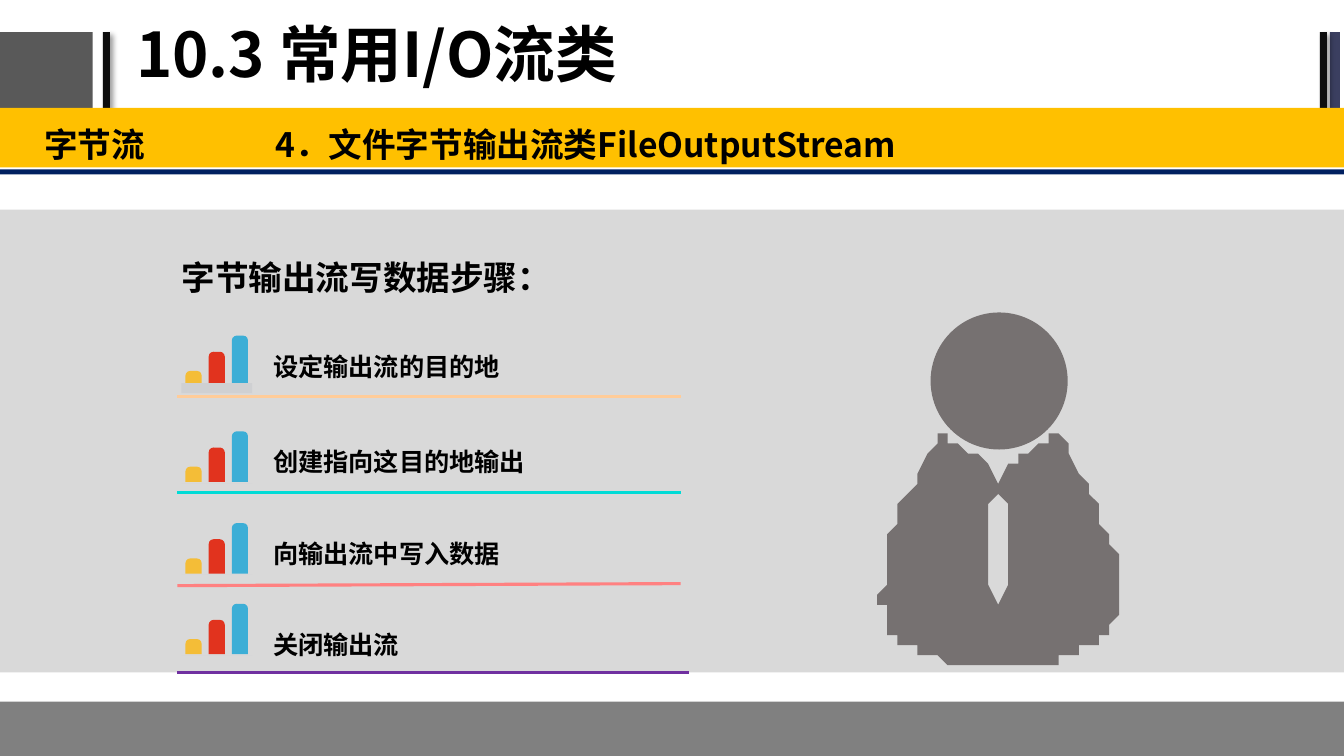
"""Build the slide on the steps for writing with a byte output stream."""
from lxml import etree
from pptx import Presentation
from pptx import util as u
from pptx.dml import color
from pptx.enum import shapes, text
from pptx.oxml import ns, parse_xml

FACE = "Noto Sans CJK SC"
KIND = shapes.MSO_SHAPE

deck = Presentation()
deck.slide_width, deck.slide_height = u.Inches(13.33), u.Inches(7.5)
unit = deck.slide_height // 75
wide = deck.slide_width / unit
page = deck.slides.add_slide(deck.slide_layouts[5])
items = page.shapes


def paint(fill, hue):
    fill.solid()
    fill.fore_color.rgb = color.RGBColor.from_string(hue)


def write(box, words, size, space, pad=None):
    frame = box.text_frame
    frame.word_wrap = True
    frame.auto_size = text.MSO_AUTO_SIZE.NONE
    if pad:
        frame.margin_left = frame.margin_right = round(pad[0] * unit)
        frame.margin_top = frame.margin_bottom = round(pad[1] * unit)
    frame.text = words
    para = frame.paragraphs[0]
    para.alignment = text.PP_ALIGN.LEFT
    para.line_spacing = space
    for run in para.runs:
        run.font.name, run.font.size, run.font.bold = FACE, u.Pt(size), True
        paint(run.font.fill, "000000")
        east = etree.SubElement(run.font._element, ns.qn("a:ea"))
        east.set("typeface", FACE)
    return para


rows = [
    ("设定输出流的目的地", 33.5, 38.3, 39.3, 39.3, 67.5, "FFCC99"),
    ("创建指向这目的地输出", 42.9, 47.8, 48.9, 48.9, 67.5, "00DBD6"),
    ("向输出流中写入数据", 52, 56.9, 58.1, 57.9, 67.5, "FF8181"),
    ("关闭输出流", 61, 64.9, 66.7, 66.7, 68.3, "7030A0"),
]
bars = [(18.4, 1.5, "F4BD37"), (20.7, 3.4, "E1331E"), (23, 5, "3CAED6")]

rect, dome = KIND.RECTANGLE, KIND.ROUND_2_SAME_RECTANGLE
parts = [
    (rect, (-0.2, 3.2, 9.4, 7.6), "595959", False),
    (rect, (10.2, 3.2, 0.7, 7.6), "0D0D0D", True),
    (rect, (131.9, 3.2, 1, 7.6), "3B3F60", False),
    (rect, (130.9, 3.2, 0.7, 7.6), "0D0D0D", True),
    (rect, (0, 20.8, wide, 45.9), "D9D9D9", False),
    (rect, (0, 69.6, wide, 5.4), "808080", False),
    (rect, (0, 16.8, wide, 0.5), "002060", False),
    (rect, (0, 10.7, wide, 5.9), "FFC000", False),
    (KIND.OVAL, (92.3, 31, 13.6, 13.6), "767171", False),
]
for row in rows:
    for left, tall, hue in bars:
        parts.append((dome, (left, row[2] - tall, 1.6, tall), hue, False))

for kind, spot, hue, shade in parts:
    part = items.add_shape(kind, *[round(n * unit) for n in spot])
    part.shadow.inherit = False
    paint(part.fill, hue)
    part.line.fill.background()
    if kind == dome:
        part.adjustments[0] = 0.3
    if shade:
        glow = part._element.spPr.find(ns.qn("a:effectLst"))
        glow.append(parse_xml(
            f'<a:outerShdw {ns.nsdecls("a")} blurRad="50800" dist="38100" dir="2700000">'
            '<a:srgbClr val="000000"><a:alpha val="40000"/></a:srgbClr></a:outerShdw>'))

title = items.title
title.left, title.top, title.width, title.height = [
    round(n * unit) for n in (12.5, 0.2, 84.7, 11)]
title.text_frame.vertical_anchor = text.MSO_ANCHOR.MIDDLE
write(title, "10.3 常用I/O流类", 44, 0.9)

band = items.add_textbox(*[round(n * unit) for n in (3.1, 10.8, 130.2, 5.8)])
para = write(band, "字节流\t4．文件字节输出流类FileOutputStream", 24, 1.2, (1.3, 0.7))
tabs = etree.SubElement(para._p.get_or_add_pPr(), ns.qn("a:tabLst"))
etree.SubElement(tabs, ns.qn("a:tab"), pos=str(round(22.9 * unit)), algn="l")

head = items.add_textbox(*[round(n * unit) for n in (11.7, 24.8, 111.6, 5.9)])
para = write(head, "字节输出流写数据步骤：", 24, 1, (1.3, 0.7))
para._p.get_or_add_pPr().set("indent", str(5 * unit))

for words, top, foot, start, end, right, hue in rows:
    step = items.add_textbox(*[round(n * unit) for n in (26.1, top, 66.3, 4.4)])
    write(step, words, 18, 1.3)
    rule = items.add_connector(
        shapes.MSO_CONNECTOR.STRAIGHT,
        *[round(n * unit) for n in (17.6, start, right, end)])
    paint(rule.line.fill, hue)
    rule.line.width = u.Pt(2.25)
    etree.SubElement(rule._element.spPr, ns.qn("a:effectLst"))
    pen = items.build_freeform(18.2, foot, scale=unit)
    pen.add_line_segments([
        (24.7, foot), (24.9, foot + 0.1), (25, foot + 0.25),
        (24.9, foot + 0.45), (24.7, foot + 0.55), (17.6, foot + 0.55)])
    base = pen.convert_to_shape()
    base.shadow.inherit = False
    paint(base.fill, "CFD0D2")
    base.line.fill.background()

curves = [
    ((98.1, 45.7), (98.1, 45.7), (95.1, 44.7), (93.4, 43.1)),
    ((93.4, 43.1), (90.6, 47.7), (87.5, 52.6), (87.5, 58.2)),
    ((87.5, 58.2), (87.5, 59.5), (87.4, 60.9), (88, 62.1)),
    ((88, 62.1), (88.8, 63.4), (90, 64), (91.2, 64.6)),
    ((91.2, 64.6), (93.6, 65.9), (96.5, 66), (99.15, 66.2)),
]
half = [(98.1, 45.7)]
for a, b, c, d in curves:
    for t in [n / 12 for n in range(1, 13)]:
        s = 1 - t
        half.append(tuple(
            s**3 * a[i] + 3 * s * s * t * b[i] + 3 * s * t * t * c[i] + t**3 * d[i]
            for i in (0, 1)))
pen = items.build_freeform(99.15, 47.7, scale=unit)
pen.add_line_segments(half + [(198.3 - x, y) for x, y in reversed(half)])
pen.move_to(99.15, 59.8)
pen.add_line_segments(
    [(97.8, 58), (98.3, 49.8), (99.15, 48.8), (99.9, 49.8), (100.5, 58)])
body = pen.convert_to_shape()
body.shadow.inherit = False
paint(body.fill, "767171")
body.line.fill.background()

deck.save("out.pptx")
